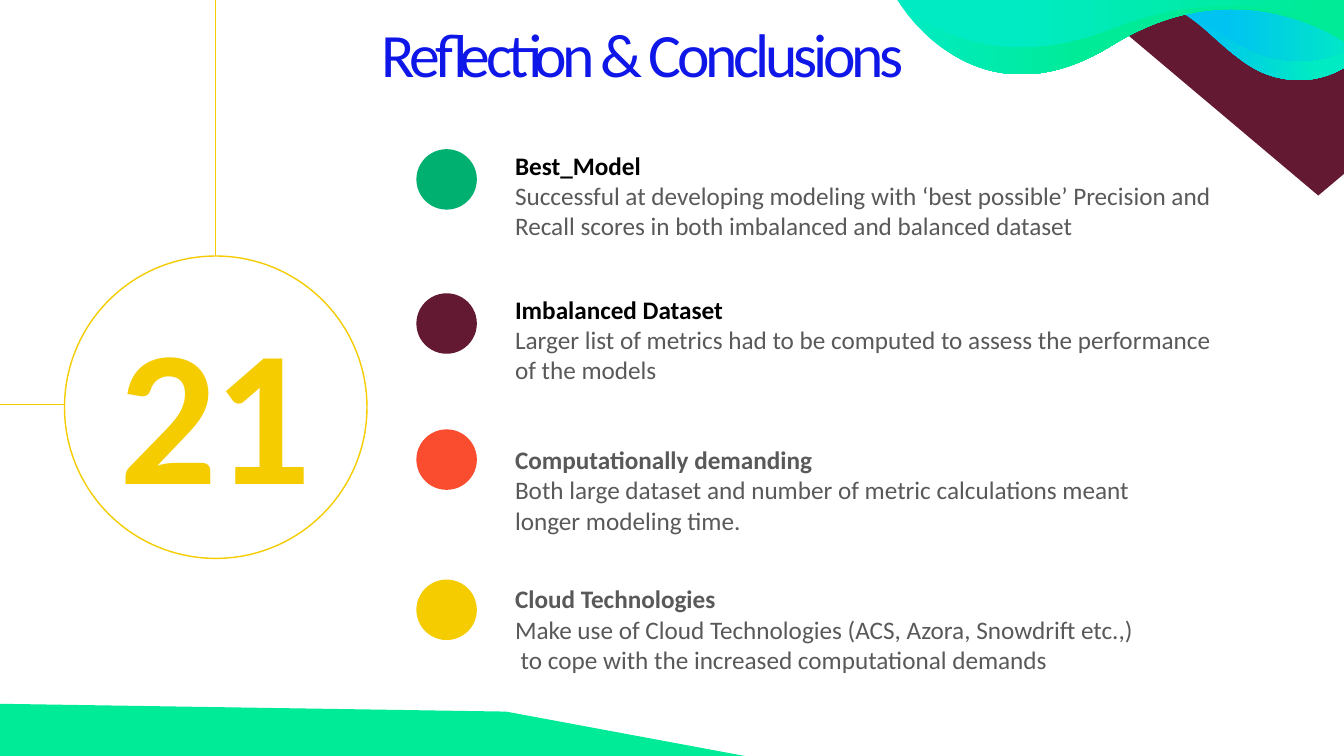
from pptx import Presentation
from pptx import util as u
from pptx.dml.color import RGBColor
from pptx.enum import shapes, text
from lxml import etree

PX = 9144  # one px is a hundredth of an inch
YELLOW, PLUM, GREEN, TEAL, SKY = "F5CC00", "631932", "00EB97", "00EBC3", "00C3F1"
BLACK, GREY = "000000", "595959"
DRAWING = "{http://schemas.openxmlformats.org/drawingml/2006/main}"


def color(hex_value):
    return RGBColor.from_string(hex_value)


def write(paragraph, words, spacing=0, **formats):
    """Put words in a paragraph as one formatted run per line."""
    paragraph.text = words
    for run in paragraph.runs:
        run.font.color.rgb = color(formats["ink"])
        for name, value in {"name": "Calibri", "size": u.Pt(formats["size"]),
                            "bold": formats["bold"]}.items():
            setattr(run.font, name, value)
        if spacing:
            run.font._element.set("spc", str(spacing))


presentation = Presentation()
presentation.slide_width, presentation.slide_height = 1333 * PX, 750 * PX
slide = presentation.slides.add_slide(presentation.slide_layouts[5])

# Title
title = slide.shapes.title
for name, value in {"left": 175, "top": 10, "width": 925, "height": 84}.items():
    setattr(title, name, value * PX)
title.text_frame.auto_size = text.MSO_AUTO_SIZE.NONE
title.text_frame.vertical_anchor = text.MSO_ANCHOR.MIDDLE
write(title.text_frame.paragraphs[0], "Reflection & Conclusions",
      spacing=-300, size=44, ink="0F16E8", bold=False)
title.text_frame.paragraphs[0].alignment = text.PP_ALIGN.CENTER

# Ring with its number and two lines
ring = slide.shapes.add_shape(
    shapes.MSO_SHAPE.OVAL, *(n * PX for n in (64, 254, 300, 300)))
ring.shadow.inherit = False
ring.fill.background()
ring.line.color.rgb = color(YELLOW)
ring.line.width = u.Pt(1)

number = slide.shapes.add_textbox(*(n * PX for n in (93, 283, 242, 242)))
number.text_frame.word_wrap = True
number.text_frame.vertical_anchor = text.MSO_ANCHOR.MIDDLE
write(number.text_frame.paragraphs[0], "21",
      spacing=-300, size=138, ink=YELLOW, bold=True)
number.text_frame.paragraphs[0].alignment = text.PP_ALIGN.CENTER

for ends in ((214, 0, 214, 254), (64, 401, -161, 401)):
    connector = slide.shapes.add_connector(
        shapes.MSO_CONNECTOR.STRAIGHT, *(n * PX for n in ends))
    connector.line.color.rgb = color(YELLOW)
    connector.line.width = u.Pt(0.5)
    etree.SubElement(connector._element.spPr, DRAWING + "effectLst")

# Conclusions: dot top, dot colour, text top, text width, heading colour, lines
conclusions = [
    (148, "00B071", 144, 831, BLACK, [
        "Best_Model",
        "Successful at developing modeling with ‘best possible’ Precision and",
        "Recall scores in both imbalanced and balanced dataset"]),
    (291, PLUM, 287, 725, BLACK, [
        "Imbalanced Dataset",
        "Larger list of metrics had to be computed to assess the performance "
        "of the models"]),
    (426, "FA4C2E", 436, 688, GREY, [
        "Computationally demanding",
        "Both large dataset and number of metric calculations meant "
        "longer modeling time."]),
    (575, YELLOW, 574, 651, GREY, [
        "Cloud Technologies",
        "Make use of Cloud Technologies (ACS, Azora, Snowdrift etc.,)\v"
        " to cope with the increased computational demands"]),
]
for dot_top, dot_color, text_top, width, heading_color, lines in conclusions:
    dot = slide.shapes.add_shape(
        shapes.MSO_SHAPE.OVAL, *(n * PX for n in (413, dot_top, 60, 60)))
    dot.shadow.inherit = False
    dot.fill.solid()
    dot.fill.fore_color.rgb = color(dot_color)
    dot.line.fill.background()

    box = slide.shapes.add_textbox(*(n * PX for n in (501, text_top, width, 101)))
    frame = box.text_frame
    frame.word_wrap = True
    frame.auto_size = text.MSO_AUTO_SIZE.SHAPE_TO_FIT_TEXT
    for index, line in enumerate(lines):
        paragraph = frame.add_paragraph() if index else frame.paragraphs[0]
        write(paragraph, line, size=18, bold=index == 0,
              ink=GREY if index else heading_color)

# Diamond in the top right corner
diamond = slide.shapes.add_shape(
    shapes.MSO_SHAPE.DIAMOND, *(n * PX for n in (1043, -252, 529, 446)))
diamond.shadow.inherit = False
diamond.fill.solid()
diamond.fill.fore_color.rgb = color(PLUM)
diamond.line.fill.background()

# Green floor
floor_builder = slide.shapes.build_freeform(-15, 751, scale=PX)
floor_builder.add_line_segments([(-16, 698), (502, 706), (744, 751)], close=True)
floor = floor_builder.convert_to_shape()
floor.shadow.inherit = False
floor.fill.solid()
floor.fill.fore_color.rgb = color(GREEN)
floor.line.fill.background()

# Top waves: left, right, bottom, start, curves (two controls and an end), stops
waves = [
    (1132, 1349, 80, (1349, 55),
     [[(1349, 55), (1315, 92), (1260, 75)], [(1213, 60), (1184, 0), (1132, 0)]],
     [(0.28, SKY), (0.8, TEAL)]),
    (1132, 1349, 61, (1349, 41),
     [[(1349, 41), (1315, 70), (1260, 57)], [(1213, 45), (1184, 0), (1132, 0)]],
     [(0.38, SKY), (1, TEAL)]),
    (890, 1349, 74, (890, 0),
     [[(890, 0), (966, 130), (1103, 45)], [(1240, -40), (1349, 52), (1349, 52)]],
     [(0, TEAL), (0.4, GREEN)]),
    (890, 1349, 47, (890, 0),
     [[(890, 0), (966, 83), (1103, 28)], [(1240, -26), (1349, 33), (1349, 33)]],
     [(0.24, TEAL), (0.92, GREEN)]),
]
for left, right, bottom, start, curves, stops in waves:
    # A frame of straight lines sets the size; its outline then becomes curved
    builder = slide.shapes.build_freeform(left, 0, scale=PX)
    builder.add_line_segments([(right, 0), (right, bottom)], close=True)
    wave = builder.convert_to_shape()
    outline = next(wave._element.iter(DRAWING + "path"))
    for command in list(outline):
        outline.remove(command)
    commands = [("moveTo", [start])]
    commands += [("cubicBezTo", curve) for curve in curves]
    commands += [("lnTo", [(right, 0)]), ("close", [])]
    for tag, points in commands:
        command = etree.SubElement(outline, DRAWING + tag)
        for x, y in points:
            etree.SubElement(command, DRAWING + "pt", x=str(x - left), y=str(y))

    wave.shadow.inherit = False
    wave.line.fill.background()
    wave.fill.gradient()
    wave.fill.gradient_angle = 0
    for stop, (position, stop_color) in zip(wave.fill.gradient_stops, stops):
        stop.position = position
        stop.color.rgb = color(stop_color)

presentation.save("out.pptx")
